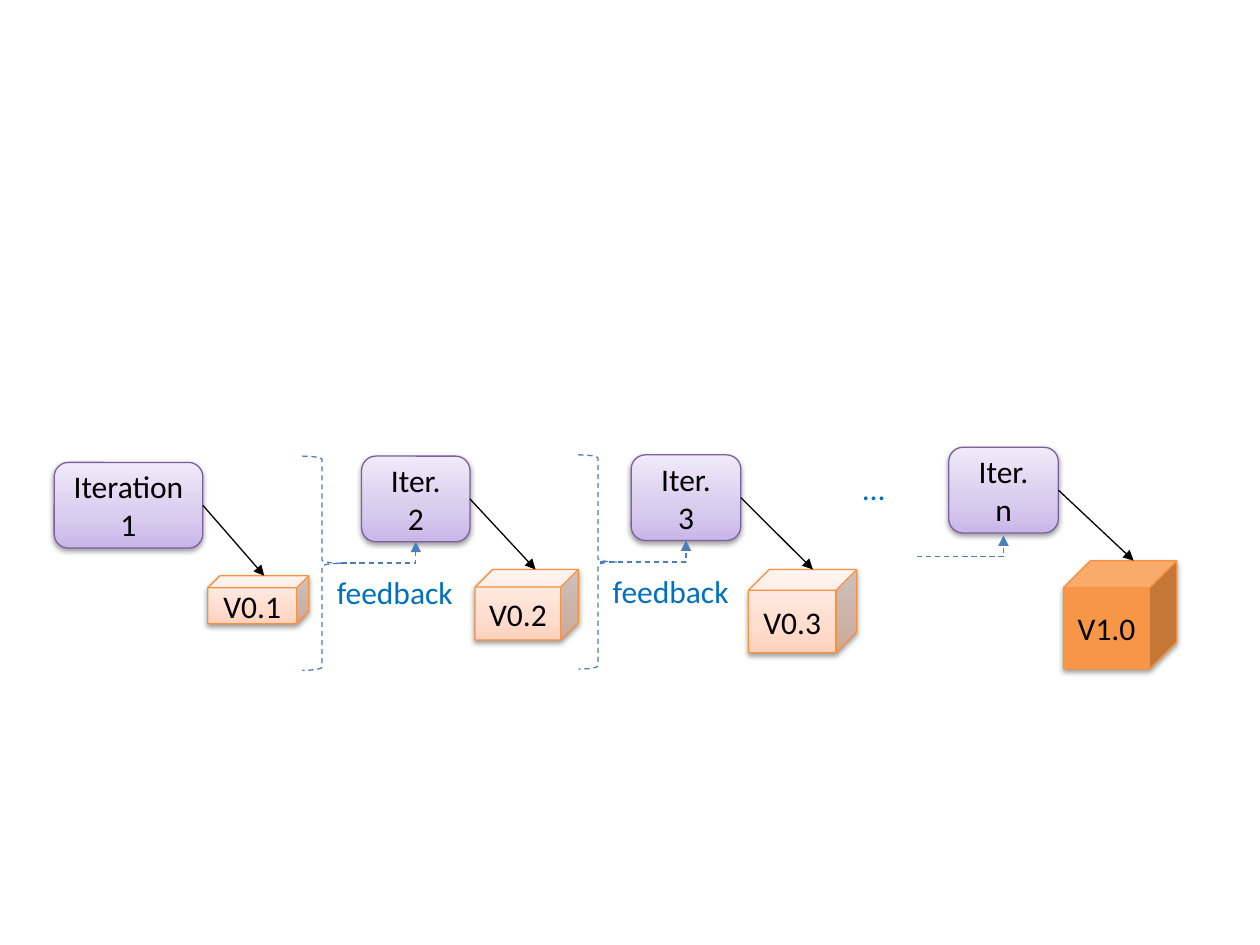
"""Builds a slide of iterations, each producing a growing version and feeding the next."""
from copy import deepcopy
from dataclasses import dataclass

from lxml.etree import SubElement
from pptx import Presentation
from pptx.dml.color import RGBColor
from pptx.enum.dml import MSO_LINE
from pptx.enum.shapes import MSO_CONNECTOR, MSO_SHAPE
from pptx.enum.text import MSO_ANCHOR, MSO_AUTO_SIZE, PP_ALIGN
from pptx.oxml.ns import qn
from pptx.util import Inches, Pt

SLIDE_WIDTH, SLIDE_HEIGHT = Inches(10), Inches(7.5)
COLUMNS = 100
CELL = SLIDE_WIDTH / COLUMNS


@dataclass(frozen=True)
class Theme:
    font: str = "Calibri"
    size: int = 18
    line_width: float = 0.75
    ink: str = "000000"
    accent: str = "0070C0"
    feedback_line: str = "4B7EBC"
    iteration_line: str = "7D60A0"
    iteration_fill: tuple = ("C9B5E8", "D8CBEE", "F0EAF9")
    version_line: str = "F69240"
    draft_fill: tuple = ("FFD2BD", "FFDED0", "FFF2ED")
    release_fill: tuple = ("F79646",)
    gradient_stops: tuple = (0, 0.35, 1)


THEME = Theme()

ITERATION_HEIGHT = 6.8
CUBE_DEPTH = 0.25
FEEDBACK_RISE = 1.7
BRACE_SIZE = (3.1, 17)
FEEDBACK_SIZE = (11.3, 4)
FEEDBACK_OFFSET = (1.75, 8.8)

STAGES = [
    {"iteration": ("Iteration 1",), "box": (4.3, 36.7, 11.8),
     "version": "V0.1", "cube": (16.5, 45.7, 8, 3.8)},
    {"iteration": ("Iter.", "2"), "box": (28.7, 36.2, 8.6),
     "version": "V0.2", "cube": (37.7, 45.2, 8.2, 5.6),
     "brace": 24, "feedback_from": 27.1, "feedback_gap": 0},
    {"iteration": ("Iter.", "3"), "box": (50.1, 36.1, 8.7),
     "version": "V0.3", "cube": (59.4, 45.2, 8.6, 6.6),
     "brace": 45.9, "feedback_from": 47.6, "feedback_gap": 0},
    {"iteration": ("Iter.", "n"), "box": (75.3, 35.5, 8.7),
     "version": "V1.0", "cube": (84.4, 44.5, 9, 8.6), "release": True,
     "feedback_from": 72.8, "feedback_gap": 0.2},
]
ELLIPSIS = ("…", (67.5, 36.7, 3.8, 4))


def cells(*counts):
    return [round(count * CELL) for count in counts]


def write(frame, lines, color, align):
    paragraph = frame.paragraphs[0]
    paragraph.text = "\n".join(lines)
    paragraph.alignment = align
    paragraph.font.name = THEME.font
    paragraph.font.size = Pt(THEME.size)
    paragraph.font.color.rgb = RGBColor.from_string(color)


def style_line(line, color, dashed=False):
    line.color.rgb = RGBColor.from_string(color)
    line.width = Pt(THEME.line_width)
    if dashed:
        line.dash_style = MSO_LINE.DASH


def paint(block, colors):
    if len(colors) == 1:
        block.fill.solid()
        block.fill.fore_color.rgb = RGBColor.from_string(colors[0])
        return
    block.fill.gradient()
    block.fill.gradient_angle = 90
    stops = block.element.spPr.find(".//" + qn("a:gsLst"))
    stops.append(deepcopy(stops[-1]))
    for stop, position, color in zip(block.fill.gradient_stops, THEME.gradient_stops, colors):
        stop.position = position
        stop.color.rgb = RGBColor.from_string(color)


def cast_shadow(block):
    block.shadow.inherit = False
    effects = block.element.spPr.find(qn("a:effectLst"))
    shadow = SubElement(effects, qn("a:outerShdw"), blurRad="40000", dist="20000",
                        dir="5400000", rotWithShape="0")
    black = SubElement(shadow, qn("a:srgbClr"), val=THEME.ink)
    SubElement(black, qn("a:alpha"), val="38000")


def add_block(slide, preset, area, lines, colors, outline):
    block = slide.shapes.add_shape(preset, *cells(*area))
    paint(block, colors)
    style_line(block.line, outline)
    cast_shadow(block)
    block.text_frame.word_wrap = True
    block.text_frame.vertical_anchor = MSO_ANCHOR.MIDDLE
    write(block.text_frame, lines, THEME.ink, PP_ALIGN.CENTER)
    return block


def add_arrow(slide, kind, start, end, color, dashed=False):
    arrow = slide.shapes.add_connector(kind, *cells(*start, *end))
    style_line(arrow.line, color, dashed)
    properties = arrow.element.spPr
    SubElement(properties.find(qn("a:ln")), qn("a:tailEnd"), type="triangle")
    SubElement(properties, qn("a:effectLst"))
    return arrow


def add_label(slide, words, area, wrap):
    label = slide.shapes.add_textbox(*cells(*area))
    label.text_frame.word_wrap = wrap
    label.text_frame.auto_size = MSO_AUTO_SIZE.SHAPE_TO_FIT_TEXT
    write(label.text_frame, [words], THEME.accent, PP_ALIGN.LEFT)


def add_brace(slide, left, top):
    brace = slide.shapes.add_shape(MSO_SHAPE.LEFT_BRACE, *cells(left, top, *BRACE_SIZE))
    brace.rotation = 180
    brace.fill.background()
    brace.shadow.inherit = False
    style_line(brace.line, THEME.feedback_line, dashed=True)


def add_feedback(slide, stage):
    left, top, width = stage["box"]
    tip = top + ITERATION_HEIGHT + stage["feedback_gap"]
    arrow = add_arrow(slide, MSO_CONNECTOR.ELBOW, (stage["feedback_from"], tip + FEEDBACK_RISE),
                      (left + width / 2, tip), THEME.feedback_line, dashed=True)
    arrow.element.spPr.find(qn("a:prstGeom")).set("prst", "bentConnector2")
    if "brace" in stage:
        add_brace(slide, stage["brace"], top)
        across, down = FEEDBACK_OFFSET
        add_label(slide, "feedback", (stage["brace"] + across, top + down, *FEEDBACK_SIZE), False)


def add_stage(slide, stage):
    left, top, width = stage["box"]
    cube_left, cube_top, cube_width, cube_height = stage["cube"]
    cube_fill = THEME.release_fill if stage.get("release") else THEME.draft_fill
    add_block(slide, MSO_SHAPE.CUBE, stage["cube"], [stage["version"]],
              cube_fill, THEME.version_line)
    iteration = add_block(slide, MSO_SHAPE.ROUNDED_RECTANGLE,
                          (left, top, width, ITERATION_HEIGHT), stage["iteration"],
                          THEME.iteration_fill, THEME.iteration_line)
    depth = CUBE_DEPTH * min(cube_width, cube_height)
    delivery = add_arrow(slide, MSO_CONNECTOR.STRAIGHT,
                         (left + width, top + ITERATION_HEIGHT / 2),
                         (cube_left + (cube_width + depth) / 2, cube_top), THEME.ink)
    delivery.begin_connect(iteration, 3)
    if "feedback_from" in stage:
        add_feedback(slide, stage)


def main():
    deck = Presentation()
    deck.slide_width, deck.slide_height = SLIDE_WIDTH, SLIDE_HEIGHT
    slide = deck.slides.add_slide(deck.slide_layouts[6])
    for stage in STAGES:
        add_stage(slide, stage)
    add_label(slide, *ELLIPSIS, True)
    deck.save("out.pptx")


if __name__ == "__main__":
    main()
